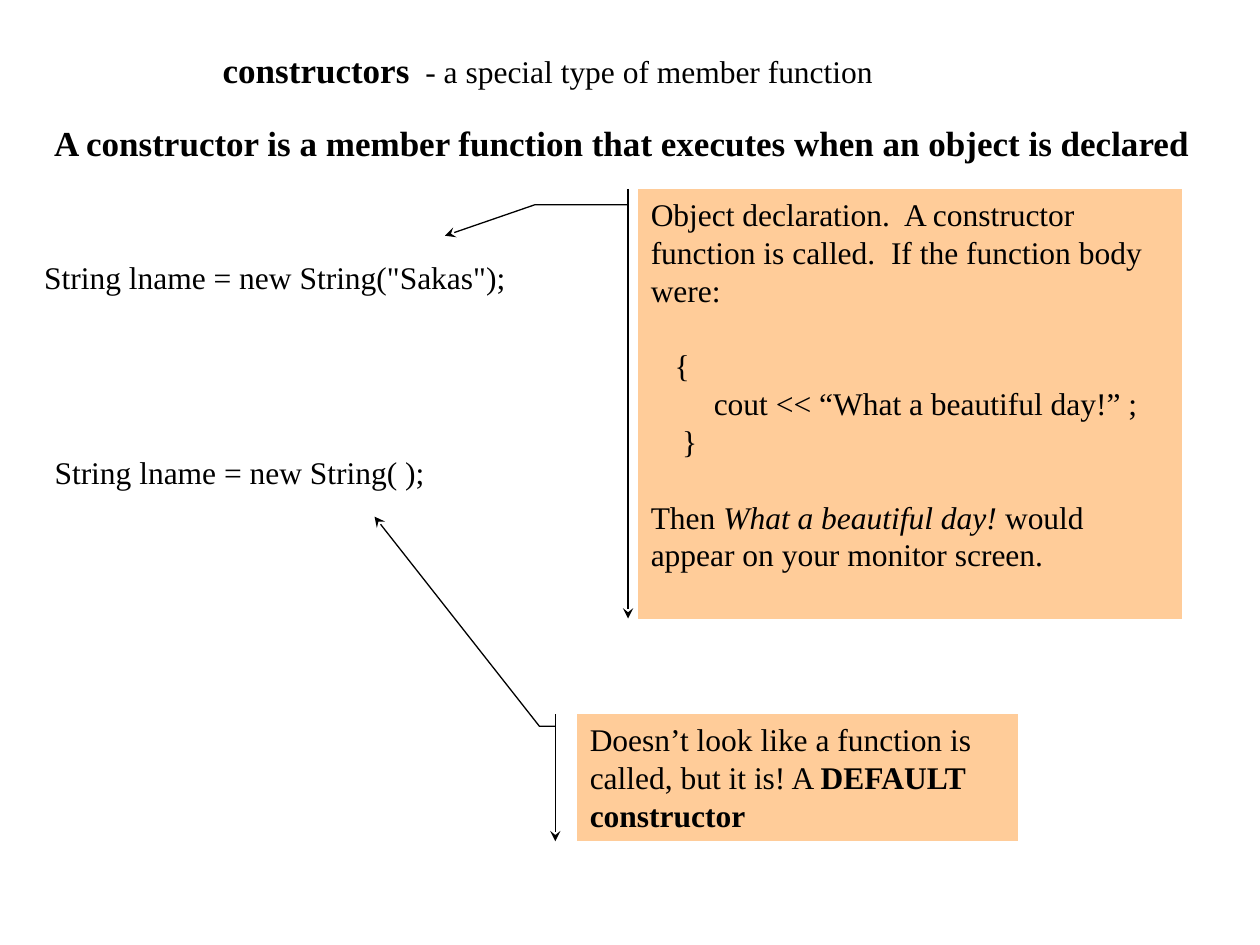
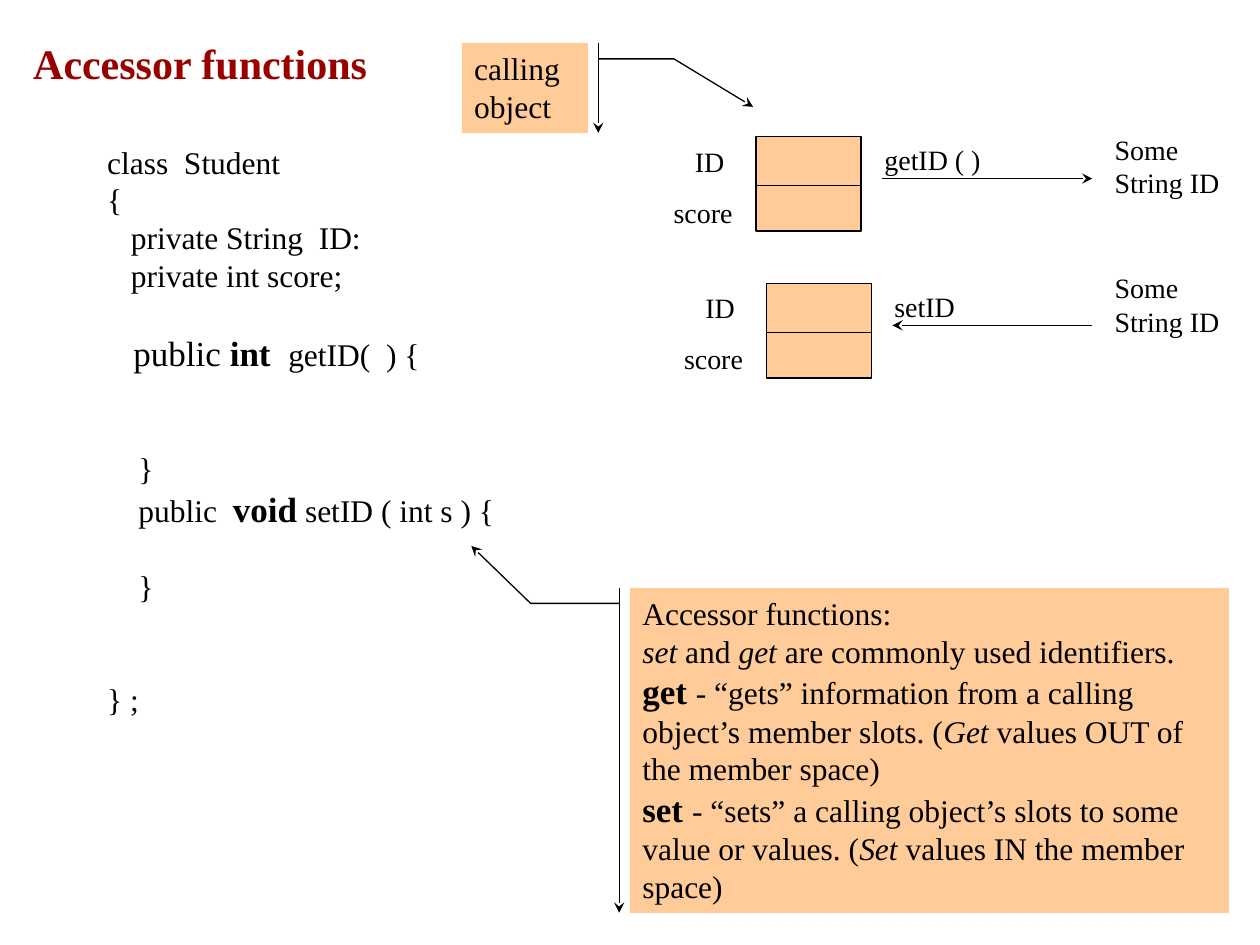
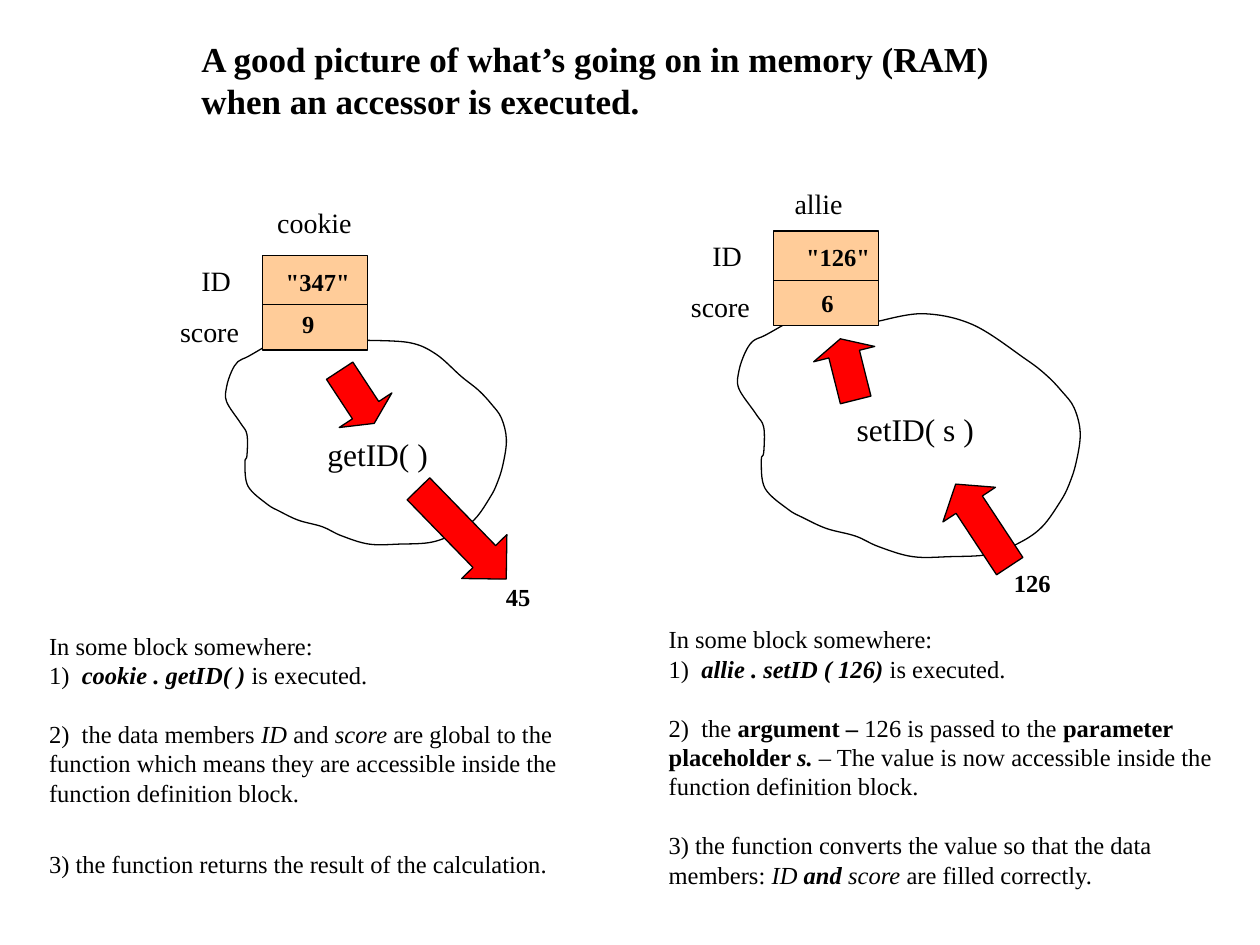
"""Build three slides on constructors and accessor functions."""
from lxml.etree import SubElement
from pptx import Presentation
from pptx.dml.color import RGBColor
from pptx.enum.shapes import MSO_CONNECTOR, MSO_SHAPE
from pptx.enum.text import MSO_ANCHOR, PP_ALIGN
from pptx.oxml.ns import qn
from pptx.util import Cm, Pt

BLACK = RGBColor(0x00, 0x00, 0x00)
PEACH = RGBColor(0xFF, 0xCC, 0x99)
RED = RGBColor(0xFF, 0x00, 0x00)
DARK_RED = RGBColor(0x99, 0x00, 0x00)
FONT = "Times New Roman"
SKIP_18 = 21.6
SKIP_14 = 16.8
LINE_HEIGHTS = {14: 0.85, 16: 0.93, 18: 1.02, 20: 1.1}


def write(shape, paragraphs, size=18, color=BLACK):
    """Fill a shape with paragraphs of (space before, indent, *runs)."""
    frame = shape.text_frame
    frame.word_wrap = True
    frame.vertical_anchor = MSO_ANCHOR.TOP
    for number, (before, indent, *runs) in enumerate(paragraphs):
        paragraph = frame.add_paragraph() if number else frame.paragraphs[0]
        paragraph.alignment = PP_ALIGN.LEFT
        paragraph.space_before = Pt(before)
        paragraph._p.get_or_add_pPr().set("marL", str(Cm(indent)))
        for text, style, *own_size in runs:
            run = paragraph.add_run()
            run.text = text
            run.font.name = FONT
            run.font.size = Pt(own_size[0] if own_size else size)
            run.font.bold = "b" in style
            run.font.italic = "i" in style
            run.font.color.rgb = color


def draw_outline(shape, arrow=False):
    """Give a shape or connector a thin black line without shadow."""
    shape.line.color.rgb = BLACK
    shape.line.width = Pt(0.75)
    if arrow:
        SubElement(shape.line._get_or_add_ln(), qn("a:tailEnd"), type="stealth")
    SubElement(shape._element.spPr, qn("a:effectLst"))


deck = Presentation()
deck.slide_width, deck.slide_height = Cm(25.4), Cm(19.05)
constructors, accessors, memory = (
    deck.slides.add_slide(deck.slide_layouts[6]).shapes for _ in range(3)
)

callouts = [
    (constructors, 12.87, 3.81, 10.95, 8.66,
     (0.037, -0.019, 0.037, -0.191, 0.109, -0.356), [
         (0, 0, ("Object declaration.  A constructor function is called.  "
                 "If the function body were:", "")),
         (SKIP_18, 0.48, ("{", "")),
         (0, 1.27, ("cout << “What a beautiful day!” ;", "")),
         (0, 0.63, ("}", "")),
         (SKIP_18, 0, ("Then ", ""), ("What a beautiful day!", "i"),
          (" would appear on your monitor screen.", "")),
     ]),
    (constructors, 11.64, 14.4, 8.89, 2.56,
     (0.095, -0.05, 0.095, -0.086, -1.557, -0.46), [
         (0, 0, ("Doesn’t look like a function is called, but it is! A ", ""),
          ("DEFAULT constructor", "b")),
     ]),
    (accessors, 12.7, 11.85, 12.07, 6.55,
     (0.048, -0.018, 0.048, -0.166, -0.129, -0.265), [
         (0, 0, ("Accessor functions:", "")),
         (0, 0, ("set", "i"), (" and ", ""), ("get", "i"),
          (" are commonly used identifiers.", "")),
         (0, 0, ("get ", "b", 20),
          ("- “gets” information from a calling object’s member slots. (", ""),
          ("Get", "i"), (" values OUT of the member space)", "")),
         (0, 0, ("set ", "b", 20),
          ("- “sets” a calling object’s slots to some value or values. (", ""),
          ("Set", "i"), (" values IN the member space)", "")),
     ]),
    (accessors, 9.31, 0.87, 2.54, 1.81,
     (0.176, 1.083, 0.176, 1.684, 0.71, 2.312),
     [(0, 0, ("calling object", ""))]),
]
for shapes, left, top, width, height, pointer, note in callouts:
    callout = shapes.add_shape(MSO_SHAPE.LINE_CALLOUT_2_ACCENT_BAR,
                               Cm(left), Cm(top), Cm(width), Cm(height))
    for index, value in enumerate(pointer):
        callout.adjustments[index] = value
    callout.fill.solid()
    callout.fill.fore_color.rgb = PEACH
    draw_outline(callout, arrow=True)
    write(callout, note)

cloud_knots = [
    (0, 0), (-0.31, 0.18), (-0.51, 0.28), (-0.64, 0.48), (-0.74, 0.79),
    (-0.74, 1.09), (-0.46, 1.52), (-0.33, 1.75), (-0.33, 2.18), (-0.37, 2.31),
    (-0.31, 2.79), (0.07, 3.15), (0.33, 3.3), (0.71, 3.48), (1.19, 3.61),
    (1.57, 3.79), (2.13, 3.96), (2.75, 3.96), (3.4, 3.92), (3.9, 3.72),
    (4.27, 3.45), (4.57, 3.02), (4.71, 2.74), (4.83, 2.36), (4.9, 1.85),
    (4.8, 1.42), (4.6, 1.14), (4.34, 0.86), (3.99, 0.58),
]
clouds = [
    (5.31, 7.01, 1, 1, [(3.48, 0.13), (2.95, -0.1), (2.06, -0.15)]),
    (15.8, 6.55, 1.22, 1.18, [(3.13, 0), (2.31, -0.19), (1.55, -0.06)]),
]
for left, top, stretch_x, stretch_y, ending in clouds:
    knots = [(left + x * stretch_x, top + y * stretch_y)
             for x, y in cloud_knots + ending]
    padded = [knots[0]] + knots + [knots[-1]]
    controls = []
    for a, b, c, d in zip(padded, padded[1:], padded[2:], padded[3:]):
        controls += [
            tuple(Cm(q + (r - p) / 6) for p, q, r in zip(a, b, c)),
            tuple(Cm(r - (s - q) / 6) for q, r, s in zip(b, c, d)),
            tuple(Cm(r) for r in c),
        ]
    builder = memory.build_freeform(Cm(left), Cm(top))
    builder.add_line_segments(controls, close=False)
    cloud = builder.convert_to_shape()
    trace = next(cloud._element.iter(qn("a:path")))
    steps = trace.findall(qn("a:lnTo"))
    for first in range(0, len(steps), 3):
        bend = SubElement(trace, qn("a:cubicBezTo"))
        for step in steps[first:first + 3]:
            bend.append(step[0])
            trace.remove(step)
    cloud.fill.background()
    draw_outline(cloud)

labels = [
    (constructors, 4.24, 0.85, 15.44, 20, "", [
        (0, 0, ("constructors", "b"),
         ("  - a special type of member function", "", 18))]),
    (constructors, 0.84, 2.33, 23.93, 20, "b",
     "A constructor is a member function that executes when an object is declared"),
    (constructors, 0.64, 5.08, 10.01, 18, "", 'String lname = new String("Sakas");'),
    (constructors, 0.85, 9, 9.78, 18, "", "String lname = new String( );"),
    (accessors, 1.91, 2.75, 13.97, 18, "", [
        (0, 0, ("class  Student", "")),
        (0, 0, ("{", "")),
        (0, 0.48, ("private String  ID:", "")),
        (0, 0.48, ("private int score;", "")),
        (SKIP_18, 0.53, ("public", "", 20), (" int  ", "b", 20),
         ("getID(  ) {", "")),
        (2 * SKIP_18, 0.63, ("}", "")),
        (0, 0.63, ("public  ", ""), ("void", "b", 20), (" setID ( int s ) {", "")),
        (SKIP_18, 0.63, ("}", "")),
        (2 * SKIP_18, 0, ("} ;", "")),
    ], 14.27),
    (accessors, 17.58, 2.74, 4.24, 16, "", "getID ( )"),
    (accessors, 17.78, 5.71, 4.24, 16, "", "setID"),
    (accessors, 22.22, 2.54, 2.75, 16, "", "Some String ID", 1.62),
    (accessors, 22.22, 5.33, 2.75, 16, "", "Some String ID", 1.62),
    (memory, 3.81, 0.64, 17.15, 20, "b",
     "A good picture of what’s going on in memory (RAM) when an accessor is executed.",
     1.95),
    (memory, 5.34, 4.01, 2.74, 16, "", "cookie"),
    (memory, 15.77, 3.63, 2.74, 16, "", "allie"),
    (memory, 6.35, 8.64, 4.24, 18, "", "getID( )"),
    (memory, 17.02, 8.15, 7.75, 18, "", "setID( s )"),
    (memory, 9.95, 11.61, 1.7, 14, "b", "45"),
    (memory, 20.19, 11.33, 3.61, 14, "b", "126"),
    (memory, 0.74, 12.59, 11.86, 14, "", [
        (0, 0, ("In some block somewhere:", "")),
        (0, 0, ("1)  ", ""), ("cookie . getID( )", "bi"), (" is executed.", "")),
        (SKIP_14, 0, ("2)  the data members ", ""), ("ID", "i"), (" and ", ""),
         ("score", "i"),
         (" are global to the function which means they are accessible "
          "inside the function definition block.", "")),
        (SKIP_14 + 7, 0,
         ("3) the function returns the result of the calculation.", "")),
    ], 5.33),
    (memory, 13.23, 12.46, 11.86, 14, "", [
        (0, 0, ("In some block somewhere:", "")),
        (0, 0, ("1)  ", ""), ("allie . setID ( 126)", "bi"), (" is executed.", "")),
        (SKIP_14, 0, ("2)  the ", ""), ("argument – ", "b"),
         ("126 is passed to the ", ""), ("parameter placeholder ", "b"),
         ("s.", "bi"),
         (" – The value is now accessible inside the function definition block.", "")),
        (SKIP_14, 0,
         ("3) the function converts the value so that the data members: ", ""),
         ("ID ", "i"), ("and ", "bi"), ("score ", "i"),
         ("are filled correctly.", "")),
    ], 5.64),
]

rules = [
    (accessors, 17.78, 22.02, 3.6, True),
    (accessors, 22.02, 17.99, 6.56, True),
]
objects = [
    (accessors, 15.24, 2.75),
    (accessors, 15.45, 5.71),
    (memory, 5.29, 5.15),
    (memory, 15.59, 4.66),
]
for shapes, left, top in objects:
    slots = shapes.add_shape(MSO_SHAPE.RECTANGLE,
                             Cm(left), Cm(top), Cm(2.12), Cm(1.91))
    slots.fill.solid()
    slots.fill.fore_color.rgb = PEACH
    draw_outline(slots)
    rules.append((shapes, left, left + 2.12, top + 0.99, False))
    labels.append((shapes, left - 1.48, top + 0.03, 2.74, 16, "", "ID"))
    labels.append((shapes, left - 1.91, top + 1.06, 2.74, 16, "", "score"))
labels += [
    (memory, 5.51, 5.26, 2.11, 14, "b", '"347"'),
    (memory, 5.84, 6.1, 1.7, 14, "b", "9"),
    (memory, 16, 4.75, 1.98, 14, "b", '"126"'),
    (memory, 16.31, 5.69, 1.7, 14, "b", "6"),
]

for shapes, start, end, height, arrow in rules:
    rule = shapes.add_connector(MSO_CONNECTOR.STRAIGHT,
                                Cm(start), Cm(height), Cm(end), Cm(height))
    draw_outline(rule, arrow)

data_flows = [
    (8.05, 10.13, 2.54, 45.8, 0.5),
    (18.82, 9.95, 1.98, 236.6, 0.39),
    (6.56, 7.37, 1.27, 56.7, 0.25),
    (16.46, 6.81, 1.27, 255.9, 0.25),
]
for left, top, length, angle, head in data_flows:
    flow = memory.add_shape(MSO_SHAPE.RIGHT_ARROW,
                            Cm(left), Cm(top), Cm(length), Cm(1.27))
    flow.rotation = angle
    flow.adjustments[1] = head
    flow.fill.solid()
    flow.fill.fore_color.rgb = RED
    draw_outline(flow)

heading = accessors.add_textbox(Cm(0.42), Cm(0.64), Cm(8.69), Cm(1.27))
write(heading, [(0, 0, ("Accessor functions", "b"))], 24, DARK_RED)
for shapes, left, top, width, size, style, content, *tall in labels:
    height = tall[0] if tall else LINE_HEIGHTS[size]
    label = shapes.add_textbox(Cm(left), Cm(top), Cm(width), Cm(height))
    if isinstance(content, str):
        content = [(0, 0, (content, style))]
    write(label, content, size)

deck.save("out.pptx")
